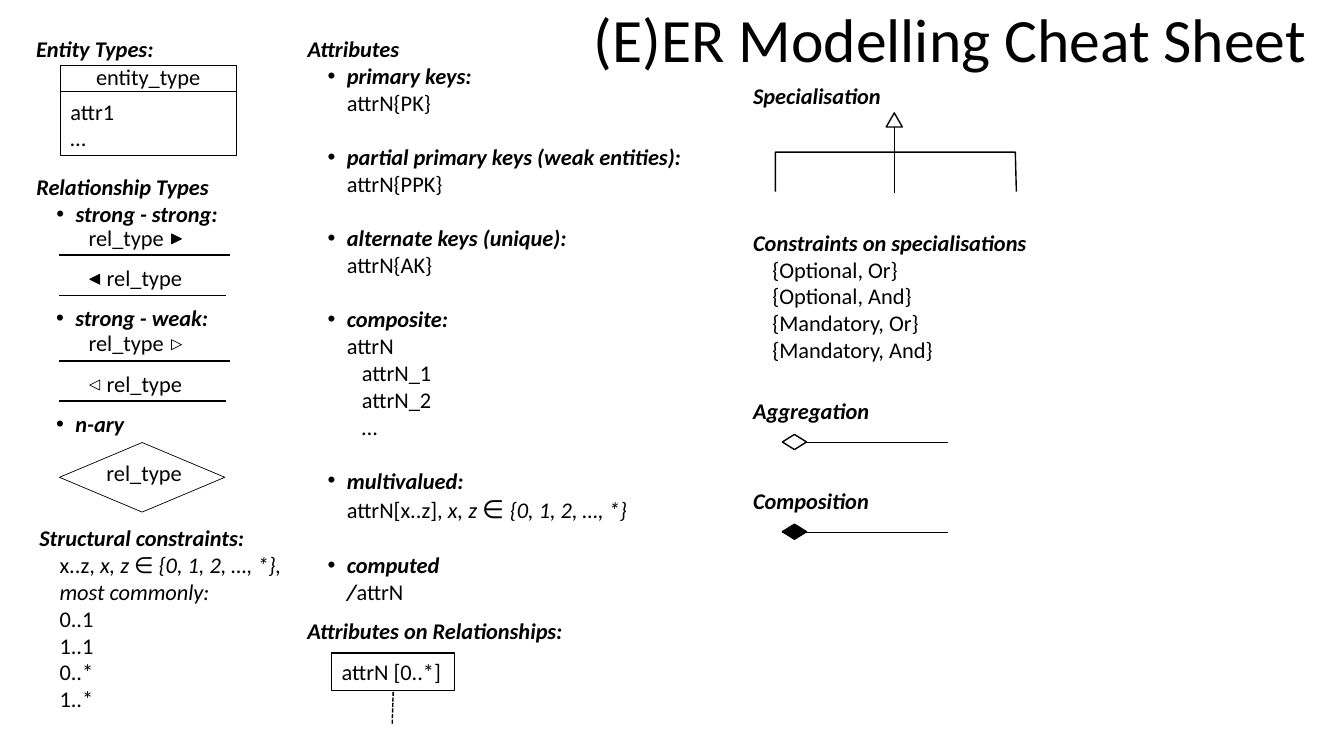
import pptx
import pptx.util
import pptx.dml.color
import pptx.enum.dml
import pptx.enum.shapes
import pptx.enum.text
import pptx.oxml
import pptx.oxml.ns

COLORS = {"ink": "000000", "paper": "FFFFFF"}
FONT = "Calibri"
TEXT_SIZE = 16
GAP = 19.5  # one text line, in points
WIDTH, HEIGHT = 13.33, 7.5
ROWS = 75  # the grid has square cells, 75 to the slide's height
SHAPES = pptx.enum.shapes.MSO_SHAPE
ANCHORS = pptx.enum.text.MSO_ANCHOR
CENTER = pptx.enum.text.PP_ALIGN.CENTER


def cells(*counts):
    return [pptx.util.Inches(count * HEIGHT / ROWS) for count in counts]


def color(name):
    return pptx.dml.color.RGBColor.from_string(COLORS[name])


# Text
def add_span(para, text, style="", size=TEXT_SIZE):
    span = para.add_run()
    span.text = text
    span.font.name = FONT
    span.font.size = pptx.util.Pt(size)
    span.font.bold = "b" in style
    span.font.italic = "i" in style
    span.font.color.rgb = color("ink")


def line(*spans, margin=0.0, bullet=False, before=0):
    return {"spans": spans, "margin": margin, "bullet": bullet, "before": before}


def head(text):
    return line((text, "bi"))


def item(text, before=0):
    return line((text, "bi"), margin=3.9, bullet=True, before=before)


def plain(text, margin=0.0):
    return line((text,), margin=margin)


def add_bullet(properties, bullet):
    marks = [("buFont", "typeface", "Arial"), ("buChar", "char", "•")] if bullet else [("buNone", None, None)]
    for tag, name, value in marks:
        mark = pptx.oxml.parse_xml(f"<a:{tag} {pptx.oxml.ns.nsdecls('a')}/>")
        if name:
            mark.set(name, value)
        properties.append(mark)


def write(box, lines, align=pptx.enum.text.PP_ALIGN.LEFT, anchor=ANCHORS.TOP, wrap=True):
    frame = box.text_frame
    frame.word_wrap = wrap
    frame.auto_size = pptx.enum.text.MSO_AUTO_SIZE.NONE
    frame.vertical_anchor = anchor
    for number, content in enumerate(lines):
        para = frame.add_paragraph() if number else frame.paragraphs[0]
        para.alignment = align
        para.line_spacing = 1.0
        para.space_before = pptx.util.Pt(content["before"])
        para.space_after = pptx.util.Pt(0)
        properties = para._p.get_or_add_pPr()
        margin, hang = cells(content["margin"], -1.9 if content["bullet"] else 0)
        properties.set("marL", str(margin))
        properties.set("indent", str(hang))
        add_bullet(properties, content["bullet"])
        for span in content["spans"]:
            add_span(para, *span)


def add_text(slide, place, *lines, **options):
    write(slide.shapes.add_textbox(*cells(*place)), lines, **options)


def fill_body(slide, number, place, *lines):
    body = slide.placeholders[number]
    body.left, body.top, body.width, body.height = cells(*place)
    write(body, lines)


# Drawing
def outline(shape, weight, fill=None):
    shape.shadow.inherit = False
    if fill:
        shape.fill.solid()
        shape.fill.fore_color.rgb = color(fill)
    else:
        shape.fill.background()
    shape.line.color.rgb = color("ink")
    shape.line.width = pptx.util.Pt(weight)


def add_figure(slide, kind, place, weight=1.0, fill=None, turn=0):
    shape = slide.shapes.add_shape(kind, *cells(*place))
    outline(shape, weight, fill)
    shape.rotation = turn
    return shape


def add_line(slide, *ends):
    link = slide.shapes.add_connector(pptx.enum.shapes.MSO_CONNECTOR.STRAIGHT, *cells(*ends))
    link.line.color.rgb = color("ink")
    link.line.width = pptx.util.Pt(1)
    link._element.spPr.append(pptx.oxml.parse_xml(f"<a:effectLst {pptx.oxml.ns.nsdecls('a')}/>"))
    return link


def add_title(slide):
    title = slide.shapes.title
    title.left, title.top, title.width, title.height = cells(57.9, 0.1, 72.9, 8.2)
    write(title, [line(("(E)ER Modelling Cheat Sheet", "", 44))], anchor=ANCHORS.MIDDLE)
    title.text_frame.paragraphs[0].line_spacing = 0.9


def add_relation(slide, top, fill):
    """Two named lines, read rightwards and then leftwards."""
    for left, arrow, turn, down, end in ((7.8, 17, 90, 0, 22.8), (9.6, 8.9, 270, 4, 22.4)):
        row = top + down
        add_text(slide, (left, row, 13.1, 3.7), plain("rel_type"))
        add_figure(slide, SHAPES.ISOSCELES_TRIANGLE, (arrow, row + 1.5, 1, 1), 0.5, fill, turn)
        add_line(slide, 5.9, row + 3.6, end, row + 3.6)


def add_whole_part(slide, top, name, fill):
    add_text(slide, (73.7, top, 28.1, 3.7), head(name))
    add_line(slide, 77.6, top + 5, 94, top + 5)
    add_figure(slide, SHAPES.FLOWCHART_DECISION, (77.6, top + 4.2, 2.4, 1.5), fill=fill)


def add_entities_and_relations(slide):
    # Entity type
    add_text(slide, (2.6, 3, 15.7, 3.7), head("Entity Types:"))
    add_figure(slide, SHAPES.RECTANGLE, (6, 6.5, 17.4, 8.9), 0.5)
    add_line(slide, 6, 9.1, 23.4, 9.1)
    add_text(slide, (6, 5.8, 17.4, 3.6), plain("entity_type"), align=CENTER, anchor=ANCHORS.MIDDLE)
    add_text(slide, (6, 9.2, 17.4, 6.2), plain("attr1"), plain("…"))

    # Relationship types
    fill_body(slide, 1, (2.6, 16.7, 20.7, 6.4), head("Relationship Types"), item("strong - strong:"))
    add_relation(slide, 21.7, "ink")
    add_text(slide, (2.6, 29.7, 20.7, 3.7), item("strong - weak:"))
    add_relation(slide, 32.2, None)
    add_text(slide, (2.6, 40.2, 20.7, 3.7), item("n-ary"))
    add_figure(slide, SHAPES.FLOWCHART_DECISION, (5.9, 43.9, 16.4, 6.9), 0.5)
    add_text(slide, (6.1, 45.1, 16.4, 3.7), plain("rel_type"), align=CENTER)

    # Structural constraints
    counts = [plain(text, 2) for text in ("0..1", "1..1", "0..*", "1..*")]
    rule = line(("x..z, ",), ("x, z ∈ {0, 1, 2, …, *}, most commonly:", "i"), margin=2)
    fill_body(slide, 3, (2.9, 51.5, 26.6, 19.9), head("Structural constraints:"), rule, *counts)


def add_attributes(slide):
    fill_body(
        slide, 2, (29.5, 3, 39.7, 57.9), head("Attributes"),
        item("primary keys:"), plain("attrN{PK}", 3.9),
        item("partial primary keys (weak entities):", GAP), plain("attrN{PPK}", 3.9),
        item("alternate keys (unique):", GAP), plain("attrN{AK}", 3.9),
        item("composite:", GAP), plain("attrN", 3.9),
        *[plain(text, 5.4) for text in ("attrN_1", "attrN_2", "…")],
        item("multivalued:", GAP),
        line(("attrN[x..z], ",), ("x, z ", "i"), ("∈ ", "i", 18), ("{0, 1, 2, …, *}", "i"), margin=3.9),
        item("computed", GAP), line(("/", "bi"), ("attrN",), margin=3.9))

    add_text(slide, (29.5, 60.7, 28.1, 3.7), head("Attributes on Relationships:"))
    box = add_figure(slide, SHAPES.RECTANGLE, (32.9, 64.8, 12.2, 3.7))
    write(box, [plain("attrN [0..*]")], wrap=False)
    stem = add_line(slide, 38.9, 71.8, 39, 68.5)
    stem.line.dash_style = pptx.enum.dml.MSO_LINE.SQUARE_DOT


def add_specialisation(slide):
    add_text(slide, (73.7, 7.7, 28.1, 3.7), head("Specialisation"))
    add_figure(slide, SHAPES.ISOSCELES_TRIANGLE, (87.9, 11.2, 1.6, 1.4))
    add_line(slide, 88.7, 12.6, 88.7, 19.1)
    corners = [cells(*corner) for corner in ((76.9, 19), (76.9, 15.1), (100.7, 15.1), (100.8, 19))]
    builder = slide.shapes.build_freeform(*corners[0])
    builder.add_line_segments(corners[1:], close=False)
    outline(builder.convert_to_shape(), 1)

    kinds = [f"{{{share}, {choice}}}" for share in ("Optional", "Mandatory") for choice in ("Or", "And")]
    fill_body(slide, 4, (73.7, 22.2, 30.2, 14.5), head("Constraints on specialisations"),
              *[plain(kind, 1.9) for kind in kinds])
    add_whole_part(slide, 38.9, "Aggregation", "paper")
    add_whole_part(slide, 47.8, "Composition", "ink")


def main():
    deck = pptx.Presentation()
    deck.slide_width = pptx.util.Inches(WIDTH)
    deck.slide_height = pptx.util.Inches(HEIGHT)
    slide = deck.slides.add_slide(deck.slide_layouts.get_by_name("Comparison"))
    add_title(slide)
    add_entities_and_relations(slide)
    add_attributes(slide)
    add_specialisation(slide)
    deck.save("out.pptx")


main()
